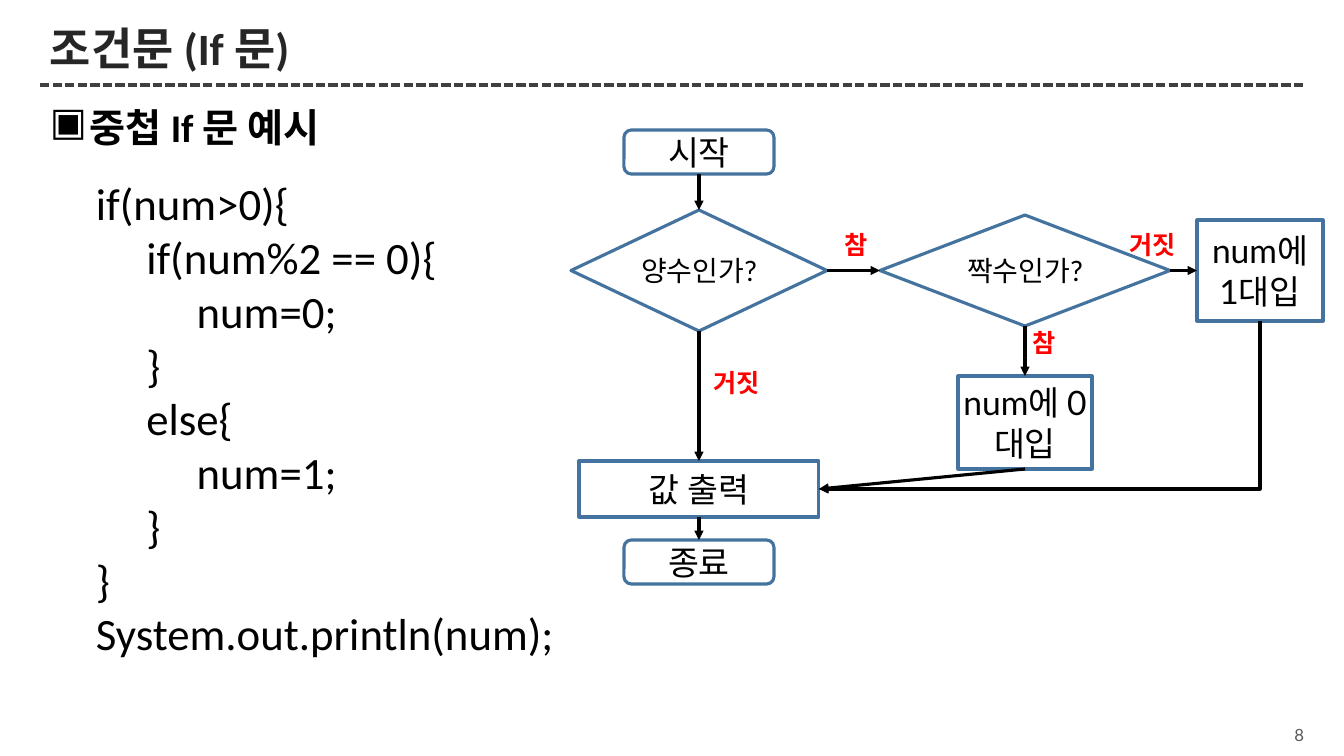
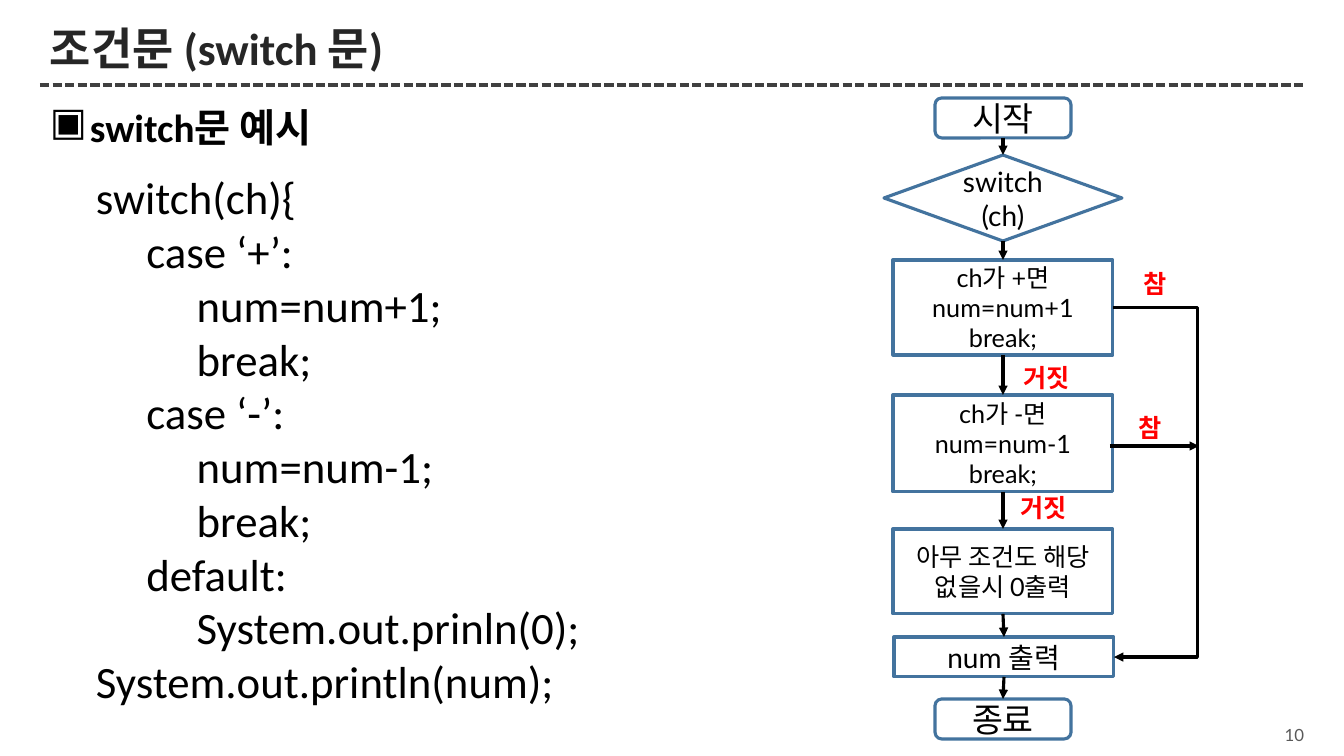
from lxml.etree import SubElement
from pptx import Presentation
from pptx.dml.color import RGBColor
from pptx.enum.dml import MSO_LINE
from pptx.enum.shapes import MSO_CONNECTOR as LINK, MSO_SHAPE as SHAPE
from pptx.enum.text import MSO_ANCHOR as ANCHOR, MSO_AUTO_SIZE as FIT, PP_ALIGN as ALIGN
from pptx.oxml.ns import qn
from pptx.util import Emu, Pt

# Shared scale and colours
PIXEL = 914400 / 100.8
BLACK = RGBColor(0x00, 0x00, 0x00)
TITLE = RGBColor(0x26, 0x26, 0x26)
RULE = RGBColor(0x40, 0x40, 0x40)
GREY = RGBColor(0x59, 0x59, 0x59)
BLUE = RGBColor(0x43, 0x73, 0x9E)
RED = RGBColor(0xFF, 0x00, 0x00)

# Shared text styles
TITLE_FONT = dict(name="Calibri", size=Pt(32), bold=True, color=TITLE)
HEADING_FONT = dict(name="Calibri", size=Pt(28), bold=True, color=BLACK)
CODE_FONT = dict(name="Calibri", size=Pt(32), color=BLACK)
NODE_FONT = dict(name="Lato", color=BLACK)
LABEL_FONT = dict(name="Lato", size=Pt(18), bold=True, color=RED)
NUMBER_FONT = dict(name="Lato", size=Pt(12), color=GREY)

# Connection sites of the flowchart shapes
TOP, LEFT, BOTTOM, RIGHT = range(4)

NESTED_IF = """if(num>0){
\tif(num%2 == 0){
\t\tnum=0;
\t}
\telse{
\t\tnum=1;
\t}
}
System.out.println(num);"""

SWITCH = """switch(ch){
\tcase ‘+’:
\t\tnum=num+1;
\t\tbreak;
\tcase ‘-’:
\t\tnum=num-1;
\t\tbreak;
\tdefault:
\t\tSystem.out.prinln(0);
System.out.println(num);"""


def px(*lengths):
    return [Emu(round(length * PIXEL)) for length in lengths]


def apply(target, values):
    for name, value in values.items():
        setattr(target, name, value)


def write(frame, text, font, **layout):
    """One paragraph for each line of the text."""
    frame.text = text
    for para in frame.paragraphs:
        apply(para, layout)
        for span in para.runs:
            apply(span.font, {k: v for k, v in font.items() if k != "color"})
            span.font.color.rgb = font["color"]


def text_box(page, area, text, font, anchor=ANCHOR.TOP, fit=FIT.NONE, **layout):
    box = page.shapes.add_textbox(*px(*area))
    apply(box.text_frame, dict(word_wrap=True, vertical_anchor=anchor, auto_size=fit))
    write(box.text_frame, text, font, **layout)
    return box


# Lines
def style_line(line, color=BLACK):
    line.line.width = Pt(2.25)
    line.line.color.rgb = color
    SubElement(line._element.spPr, qn("a:effectLst"))


def arrowhead(line, end="tailEnd"):
    SubElement(line.line._get_or_add_ln(), qn("a:" + end), type="triangle")


def straight(page, start, end, color=BLACK):
    line = page.shapes.add_connector(LINK.STRAIGHT, *px(*start, *end))
    style_line(line, color)
    return line


def glue(page, first, first_site, second, second_site, kind=LINK.STRAIGHT):
    line = page.shapes.add_connector(kind, 0, 0, 0, 0)
    line.begin_connect(first, first_site)
    line.end_connect(second, second_site)
    style_line(line)
    return line


def arrow(page, first, second, leave=BOTTOM, enter=TOP):
    arrowhead(glue(page, first, leave, second, enter))


def corner_arrow(page, first, second):
    """From the bottom of the first shape, round one corner, to the right of the second."""
    line = glue(page, second, RIGHT, first, BOTTOM, LINK.ELBOW)
    line._element.spPr.find(qn("a:prstGeom")).set("prst", "bentConnector2")
    arrowhead(line, "headEnd")


def side_arrow(page, first, second, bend):
    """Between two right sides, by way of the vertical at bend."""
    line = glue(page, first, RIGHT, second, RIGHT, LINK.ELBOW)
    ratio = (px(bend)[0] - line.begin_x) / (line.end_x - line.begin_x)
    guides = line._element.spPr.find(qn("a:prstGeom")).get_or_add_avLst()
    SubElement(guides, qn("a:gd"), name="adj1", fmla=f"val {round(ratio * 100000)}")
    arrowhead(line)


# Flowchart parts, placed by their centre line
def node(page, kind, text, center, top, width, height, size=24):
    shape = page.shapes.add_shape(kind, *px(center - width / 2, top, width, height))
    shape.shadow.inherit = False
    shape.fill.background()
    shape.line.color.rgb = BLUE
    shape.line.width = Pt(2.25)
    side = px(4)[0]
    apply(shape.text_frame, dict(
        word_wrap=kind != SHAPE.DIAMOND, vertical_anchor=ANCHOR.MIDDLE,
        margin_left=side, margin_right=side))
    write(shape.text_frame, text, dict(NODE_FONT, size=Pt(size)), alignment=ALIGN.CENTER)
    return shape


def labels(page, places):
    for text, center, top in places:
        text_box(page, (center - 46, top, 92, 40), text, LABEL_FONT,
                 fit=FIT.SHAPE_TO_FIT_TEXT, alignment=ALIGN.CENTER)


# Page frame
def new_page(deck, title, heading, code, code_top, code_height, number):
    page = deck.slides.add_slide(deck.slide_layouts[6])
    text_box(page, (1264, 719, 50, 32), number, NUMBER_FONT, ANCHOR.MIDDLE,
             alignment=ALIGN.RIGHT)
    straight(page, (40, 85), (1306, 85), RULE).line.dash_style = MSO_LINE.SQUARE_DOT
    text_box(page, (40, 21, 1266, 59), title, TITLE_FONT, ANCHOR.MIDDLE, line_spacing=0.9)
    box = text_box(page, (40, 98, 1183, 619), heading, HEADING_FONT, space_before=Pt(6))
    indent = px(40)[0]
    bullet = box.text_frame.paragraphs[0]._p.get_or_add_pPr()
    bullet.set("marL", str(indent))
    bullet.set("indent", str(-indent))
    SubElement(bullet, qn("a:buChar"), char="▣")
    text_box(page, (86, code_top, 833, code_height), code, CODE_FONT,
             fit=FIT.SHAPE_TO_FIT_TEXT)
    return page


def if_page(deck):
    page = new_page(deck, "조건문 (If 문)", "중첩 If 문 예시", NESTED_IF, 171, 499, "8")
    main_line, even_line, odd_line = 699, 1025, 1260
    start = node(page, SHAPE.ROUNDED_RECTANGLE, "시작", main_line, 130, 150, 44)
    positive = node(page, SHAPE.DIAMOND, "양수인가?", main_line, 210, 256, 121, 20)
    output = node(page, SHAPE.RECTANGLE, "값 출력", main_line, 461, 240, 56)
    finish = node(page, SHAPE.ROUNDED_RECTANGLE, "종료", main_line, 540, 150, 44)
    even = node(page, SHAPE.DIAMOND, "짝수인가?", even_line, 215, 290, 111, 20)
    set_one = node(page, SHAPE.RECTANGLE, "num에 1대입", odd_line, 220, 126, 101)
    set_zero = node(page, SHAPE.RECTANGLE, "num에 0대입", even_line, 376, 134, 93)

    for first, second in ((start, positive), (positive, output),
                          (output, finish), (even, set_zero)):
        arrow(page, first, second)
    for first, second in ((positive, even), (even, set_one)):
        arrow(page, first, second, RIGHT, LEFT)
    arrow(page, set_zero, output, BOTTOM, RIGHT)
    corner_arrow(page, set_one, output)
    labels(page, (("참", 856, 224), ("거짓", 737, 362),
                  ("참", 1044, 322), ("거짓", 1153, 224)))


def switch_page(deck):
    page = new_page(deck, "조건문 (switch 문)", "switch문 예시", SWITCH, 165, 553, "10")
    main_line, return_line = 1003, 1198
    start = node(page, SHAPE.ROUNDED_RECTANGLE, "시작", main_line, 98, 136, 40)
    choice = node(page, SHAPE.DIAMOND, "switch\n(ch)", main_line, 155, 238, 86, 20)
    plus = node(page, SHAPE.RECTANGLE, "ch가 +면\nnum=num+1\nbreak;",
                main_line, 260, 220, 95, 18)
    minus = node(page, SHAPE.RECTANGLE, "ch가 -면\nnum=num-1\nbreak;",
                 main_line, 395, 220, 97, 18)
    default = node(page, SHAPE.RECTANGLE, "아무 조건도 해당 없을시 0출력",
                   main_line, 529, 220, 85, 18)
    # One pixel to the right, so the return arrow has a width to bend by
    output = node(page, SHAPE.RECTANGLE, "num 출력", main_line + 1, 637, 220, 40, 20)
    finish = node(page, SHAPE.ROUNDED_RECTANGLE, "종료", main_line, 699, 136, 40)

    steps = (start, choice, plus, minus, default, output, finish)
    for first, second in zip(steps, steps[1:]):
        arrow(page, first, second)
    side_arrow(page, plus, output, return_line)
    arrowhead(straight(page, (1110, 446), (return_line + 1, 446)))
    labels(page, (("거짓", 1047, 357), ("참", 1155, 263),
                  ("거짓", 1044, 487), ("참", 1150, 407)))


def main():
    deck = Presentation()
    deck.slide_width, deck.slide_height = px(1344, 756)
    if_page(deck)
    switch_page(deck)
    deck.save("out.pptx")


main()
